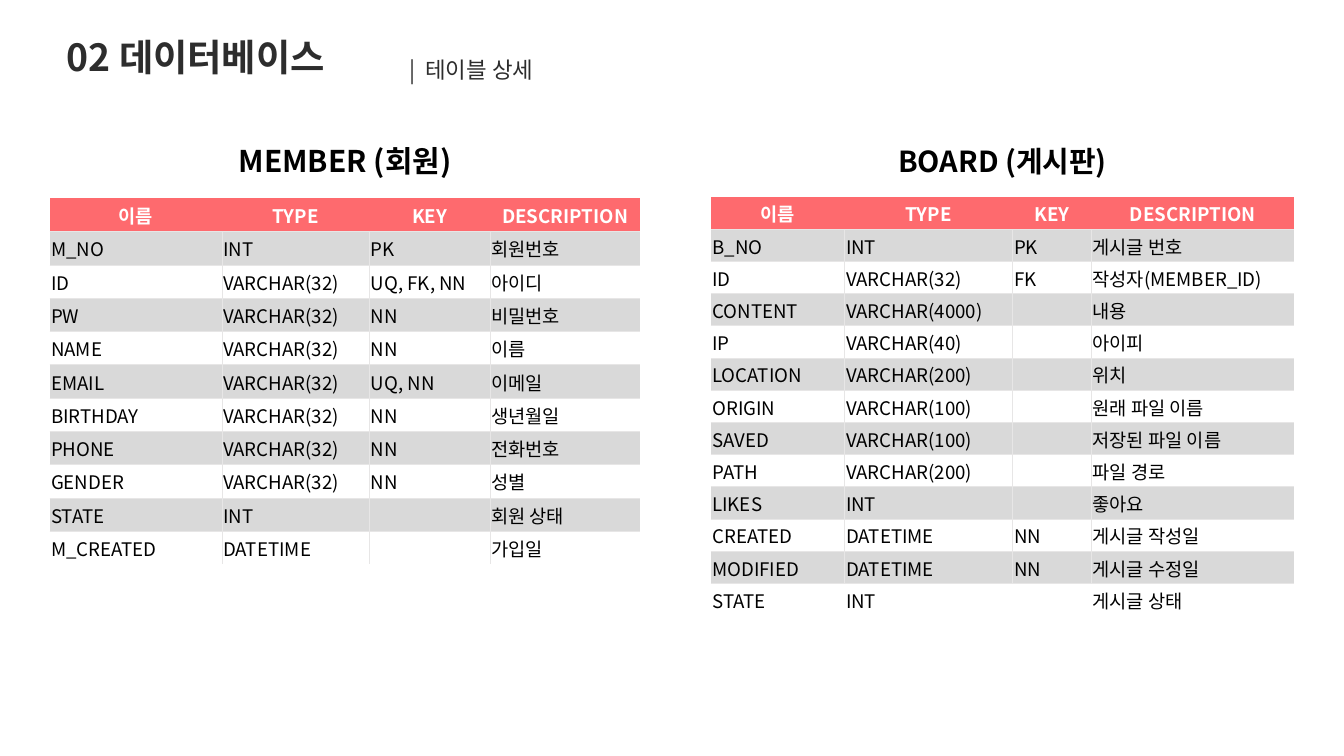
"""Database slide with the MEMBER and BOARD table definitions."""
from lxml.etree import SubElement
from pptx import Presentation
from pptx.dml.color import RGBColor
from pptx.enum.text import MSO_ANCHOR, MSO_AUTO_SIZE, PP_ALIGN
from pptx.oxml.ns import qn
from pptx.util import Pt

PX = 9144
FONT = "Noto Sans CJK KR"
DARK = RGBColor(0x2D, 0x2D, 0x2D)
BLACK = RGBColor(0x00, 0x00, 0x00)
WHITE = RGBColor(0xFF, 0xFF, 0xFF)
CORAL = RGBColor(0xFE, 0x6A, 0x6E)
BAND = RGBColor(0xD9, 0xD9, 0xD9)
RULE = RGBColor(0xE7, 0xE6, 0xE6)

HEADER = ("이름", "TYPE", "KEY", "DESCRIPTION")
BOARD = [
    ("B_NO", "INT", "PK", "게시글 번호"),
    ("ID", "VARCHAR(32)", "FK", "작성자(MEMBER_ID)"),
    ("CONTENT", "VARCHAR(4000)", "", "내용"),
    ("IP", "VARCHAR(40)", "", "아이피"),
    ("LOCATION", "VARCHAR(200)", "", "위치"),
    ("ORIGIN", "VARCHAR(100)", "", "원래 파일 이름"),
    ("SAVED", "VARCHAR(100)", "", "저장된 파일 이름"),
    ("PATH", "VARCHAR(200)", "", "파일 경로"),
    ("LIKES", "INT", "", "좋아요"),
    ("CREATED", "DATETIME", "NN", "게시글 작성일"),
    ("MODIFIED", "DATETIME", "NN", "게시글 수정일"),
    ("STATE", "INT", "", "게시글 상태"),
]
MEMBER = [
    ("M_NO", "INT", "PK", "회원번호"),
    ("ID", "VARCHAR(32)", "UQ, FK, NN", "아이디"),
    ("PW", "VARCHAR(32)", "NN", "비밀번호"),
    ("NAME", "VARCHAR(32)", "NN", "이름"),
    ("EMAIL", "VARCHAR(32)", "UQ, NN", "이메일"),
    ("BIRTHDAY", "VARCHAR(32)", "NN", "생년월일"),
    ("PHONE", "VARCHAR(32)", "NN", "전화번호"),
    ("GENDER", "VARCHAR(32)", "NN", "성별"),
    ("STATE", "INT", "", "회원 상태"),
    ("M_CREATED", "DATETIME", "", "가입일"),
]
TABLES = [
    ("BOARD (게시판)", 31, BOARD, (1058, 180, 868, 736), 113, (199, 250, 117, 302), False),
    ("MEMBER (회원)", 32, MEMBER, (74, 179, 879, 661), 116, (256, 220, 179, 224), True),
]


def write(tf, text, size, color, bold=False, align=PP_ALIGN.LEFT):
    tf.text = text
    p = tf.paragraphs[0]
    p.alignment = align
    for r in p.runs:
        r.font.size = Pt(size)
        r.font.bold = bold
        r.font.color.rgb = color
        r.font.name = FONT
        SubElement(r.font._element, qn("a:ea"), typeface=FONT)


def set_borders(cell, sides):
    tcPr = cell._tc.get_or_add_tcPr()
    for side in "LRTB":
        ln = SubElement(tcPr, qn("a:ln" + side), w=str(Pt(0.5)))
        if side in sides:
            fill = SubElement(ln, qn("a:solidFill"))
            SubElement(fill, qn("a:srgbClr"), val=str(RULE))
        else:
            SubElement(ln, qn("a:noFill"))


prs = Presentation()
prs.slide_width, prs.slide_height = 2000 * PX, 1125 * PX
s = prs.slides.add_slide(prs.slide_layouts[5])

title = s.shapes.title
title.left, title.top, title.width, title.height = 89 * PX, 46 * PX, 578 * PX, 77 * PX
subtitle = s.shapes.add_textbox(599 * PX, 78 * PX, 643 * PX, 50 * PX)
for sp, text, size, bold in (
    (title, "02 데이터베이스", 40, True),
    (subtitle, "|  테이블 상세", 24, False),
):
    tf = sp.text_frame
    tf.word_wrap = True
    tf.auto_size = MSO_AUTO_SIZE.NONE
    tf.vertical_anchor = MSO_ANCHOR.MIDDLE
    tf.margin_top = tf.margin_bottom = 0
    write(tf, text, size, DARK, bold)

for name, name_size, fields, box, name_height, widths, ruled_end in TABLES:
    rows = [(name, "", "", ""), HEADER, *fields]
    last = len(rows) - 1
    left, top, width, height = (v * PX for v in box)
    tbl = s.shapes.add_table(len(rows), 4, left, top, width, height).table
    tbl.horz_banding = False
    for col, w in zip(tbl.columns, widths):
        col.width = w * PX
    for row in tbl.rows:
        row.height = (height - name_height * PX) // last
    tbl.rows[0].height = name_height * PX
    tbl.cell(0, 0).merge(tbl.cell(0, 3))

    for i, row in enumerate(rows):
        for j, text in enumerate(row):
            cell = tbl.cell(i, j)
            cell.margin_left = cell.margin_right = cell.margin_top = 2 * PX
            cell.margin_bottom = 0
            cell.vertical_anchor = MSO_ANCHOR.MIDDLE
            sides = ""
            if i > 1:
                sides += "T"
                if i < last or ruled_end:
                    sides += ("L" if j > 0 else "") + ("R" if j < 3 else "")
            if 0 < i < last:
                sides += "B"
            set_borders(cell, sides)

            if i > 1 and i % 2:
                cell.fill.background()
            else:
                cell.fill.solid()
                cell.fill.fore_color.rgb = (WHITE, CORAL)[i] if i < 2 else BAND
            write(
                cell.text_frame,
                text,
                name_size if i == 0 else 20,
                WHITE if i == 1 else BLACK,
                i < 2,
                PP_ALIGN.CENTER if i < 2 else PP_ALIGN.LEFT,
            )

prs.save("out.pptx")
